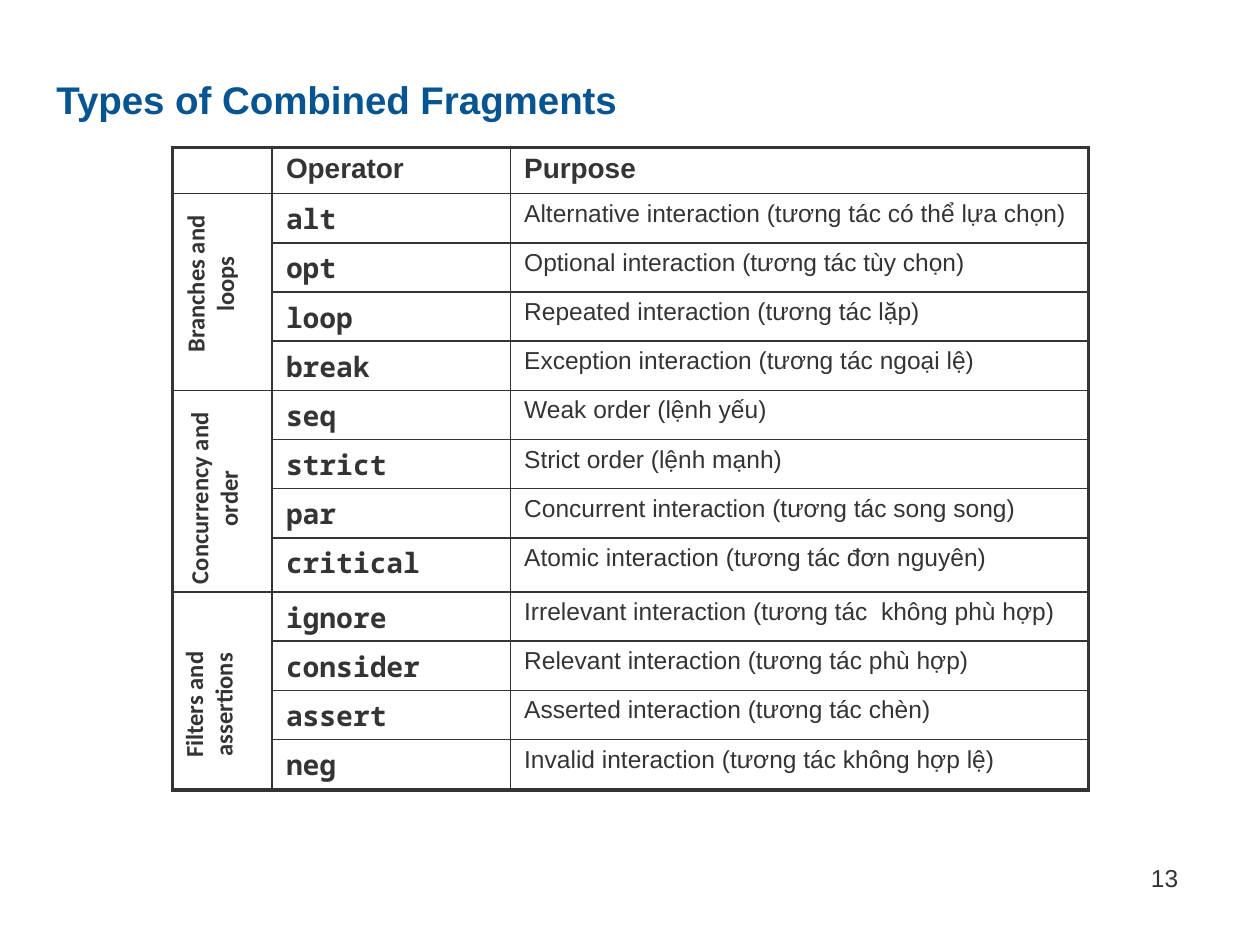
from lxml.etree import SubElement
from pptx import Presentation
from pptx.dml.color import RGBColor
from pptx.enum.text import MSO_ANCHOR as Anchor, PP_ALIGN as Align
from pptx.oxml.ns import qn
from pptx.util import Pt

INK = "343434"
BLUE = "075590"
HEADINGS = ["", "Operator", "Purpose"]
GROUPS = [
    [("alt", "Alternative interaction (tương tác có thể lựa chọn)"),
     ("opt", "Optional interaction (tương tác tùy chọn)"),
     ("loop", "Repeated interaction (tương tác lặp)"),
     ("break", "Exception interaction (tương tác ngoại lệ)")],
    [("seq", "Weak order (lệnh yếu)"),
     ("strict", "Strict order (lệnh mạnh)"),
     ("par", "Concurrent interaction (tương tác song song)"),
     ("critical", "Atomic interaction (tương tác đơn nguyên)")],
    [("ignore", "Irrelevant interaction (tương tác  không phù hợp)"),
     ("consider", "Relevant interaction (tương tác phù hợp)"),
     ("assert", "Asserted interaction (tương tác chèn)"),
     ("neg", "Invalid interaction (tương tác không hợp lệ)")],
]
# Group label: text, left, top, height
GROUP_LABELS = [
    ("Branches and loops", 56.9, 141.8, 41),
    ("Concurrency and order", 69.1, 254.2, 61.2),
    ("Filters and assertions", 66.2, 372.2, 61.2),
]


def color(value):
    return RGBColor.from_string(value)


class SlideBuilder:
    font = "Arial"
    thin, thick = 1, 2.25

    def __init__(self, slide):
        self.slide = slide

    def run(self, paragraph, text, size, bold=False, font=None, ink=INK):
        run = paragraph.add_run()
        run.text = text
        run.font.size = Pt(size)
        run.font.bold = bold
        run.font.name = font or self.font
        run.font.color.rgb = color(ink)

    def text(self, text, left, top, width, height, size=14, align=Align.LEFT,
             anchor=Anchor.TOP, rotation=0, **style):
        shape = self.slide.shapes.add_textbox(Pt(left), Pt(top), Pt(width), Pt(height))
        shape.rotation = rotation
        frame = shape.text_frame
        frame.word_wrap = True
        frame.vertical_anchor = anchor
        paragraph = frame.paragraphs[0]
        paragraph.alignment = align
        self.run(paragraph, text, size, **style)

    def border(self, cell, side, width):
        properties = cell._tc.get_or_add_tcPr()
        line = SubElement(properties, qn(f"a:ln{side}"), w=str(Pt(width)))
        fill = SubElement(line, qn("a:solidFill"))
        SubElement(fill, qn("a:srgbClr"), val=INK)

    def table(self, left, top, columns, rows):
        frame = self.slide.shapes.add_table(
            len(rows), len(columns), Pt(left), Pt(top), Pt(sum(columns)), Pt(sum(rows)))
        table = frame.table
        table.first_row = table.horz_banding = False
        for column, width in zip(table.columns, columns):
            column.width = Pt(width)
        for row, height in zip(table.rows, rows):
            row.height = Pt(height)
        return table

    def cell(self, cell, text, **style):
        cell.margin_left = cell.margin_right = Pt(7.92)
        cell.margin_top = cell.margin_bottom = Pt(3.6)
        paragraph = cell.text_frame.paragraphs[0]
        if text:
            self.run(paragraph, text, **style)
        else:
            # Keep empty cells from stretching their row
            SubElement(paragraph._p, qn("a:endParaRPr"), sz="1400")

    def rule_table(self, table):
        last_row, last_column = len(table.rows) - 1, len(table.columns) - 1
        for r in range(last_row + 1):
            for c in range(last_column + 1):
                cell = table.cell(r, c)
                outer = {"L": c == 0, "R": c == last_column, "T": r == 0,
                         "B": r + cell.span_height - 1 == last_row}
                for side, is_outer in outer.items():
                    self.border(cell, side, self.thick if is_outer else self.thin)
                cell.fill.background()


def main():
    presentation = Presentation()
    presentation.slide_width, presentation.slide_height = Pt(720), Pt(540)
    slide = presentation.slides.add_slide(presentation.slide_layouts[6])
    builder = SlideBuilder(slide)

    # Title
    builder.text("Types of Combined Fragments", 25.2, 12.24, 671.8, 61.2, size=22,
                 anchor=Anchor.BOTTOM, bold=True, ink=BLUE)

    # Operator table
    heights = [26] + [28.1] * 7 + [31] + [28.1] * 3 + [28.8]
    table = builder.table(98.64, 84.24, [56.9, 136.1, 330.5], heights)
    for c, heading in enumerate(HEADINGS):
        builder.cell(table.cell(0, c), heading, size=16, bold=True)
    operators = [entry for group in GROUPS for entry in group]
    for r, (operator, purpose) in enumerate(operators, 1):
        builder.cell(table.cell(r, 0), "")
        builder.cell(table.cell(r, 1), operator, size=16, bold=True, font="Noto Sans Mono")
        builder.cell(table.cell(r, 2), purpose, size=14)
    first = 1
    for group in GROUPS:
        table.cell(first, 0).merge(table.cell(first + len(group) - 1, 0))
        first += len(group)
    builder.rule_table(table)

    # Group labels, turned to read upwards
    for label, left, top, height in GROUP_LABELS:
        builder.text(label, left, top, 126, height, align=Align.CENTER,
                     rotation=270, bold=True, font="Calibri")

    # Page number
    builder.text("13", 596.2, 489.6, 84.2, 36, align=Align.RIGHT)

    presentation.save("out.pptx")


if __name__ == "__main__":
    main()
